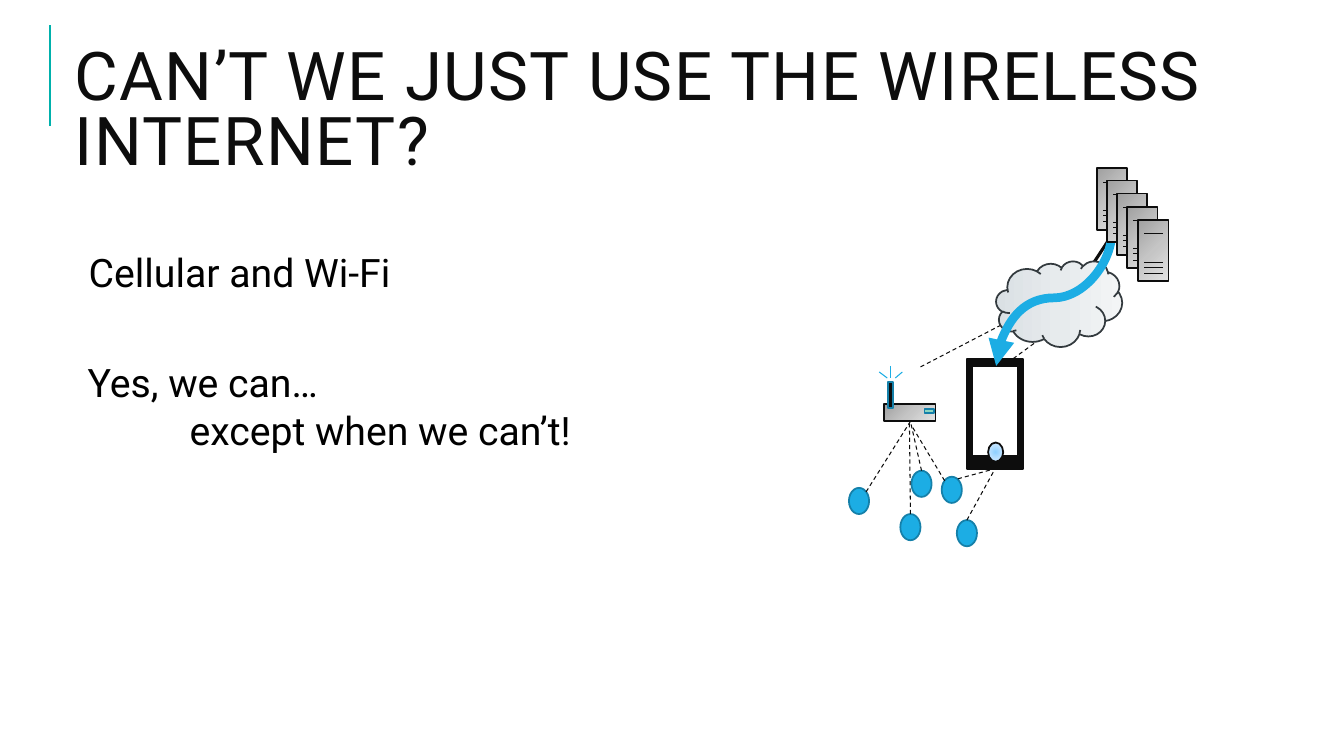
from lxml.etree import SubElement
from pptx import Presentation
from pptx.dml.color import RGBColor
from pptx.enum.dml import MSO_LINE
from pptx.enum.shapes import MSO_CONNECTOR, MSO_SHAPE
from pptx.enum.text import MSO_ANCHOR
from pptx.oxml import parse_xml
from pptx.oxml.ns import nsdecls, qn
from pptx.util import Pt

EMU_PER_PX = 9144
FONT = "Roboto"
INK = "0D0D0D"
BLUE = "1CADE4"
DARK_BLUE = "1580A9"
METAL = ("A0A0A0", "C5C5C5", "E3E3E3")
MIST = ("DAE0E4", "E7EBED", "F3F5F6")
GLOW = ("8FD1FF", "BAE1FF", "DDEFFF")
LINEAR = '<a:lin ang="{}" scaled="0"/>'
DIAGONAL = LINEAR.format(2700000)
SIDEWAYS = LINEAR.format(0)
RADIAL = '<a:path path="circle"><a:fillToRect l="50000" t="50000" r="50000" b="50000"/></a:path>'


def px(length):
    return length * EMU_PER_PX


def color(value):
    return RGBColor.from_string(value)


def add_shape(slide, kind, left, top, width, height, fill, outline=INK):
    shape = slide.shapes.add_shape(kind, px(left), px(top), px(width), px(height))
    shape.shadow.inherit = False
    shape.fill.solid()
    shape.fill.fore_color.rgb = color(fill)
    shape.line.color.rgb = color(outline)
    shape.line.width = Pt(1.25)
    return shape


def set_gradient(shape, colors, direction):
    stops = "".join(
        f'<a:gs pos="{index * 50000}"><a:srgbClr val="{value}"/></a:gs>'
        for index, value in enumerate(colors)
    )
    gradient = parse_xml(
        f'<a:gradFill {nsdecls("a")} rotWithShape="1"><a:gsLst>{stops}</a:gsLst>{direction}</a:gradFill>'
    )
    properties = shape.element.spPr
    properties.replace(properties.find(qn("a:solidFill")), gradient)


def add_line(slide, start, end, line_color=INK, width=0.75, dashed=False, kind=MSO_CONNECTOR.STRAIGHT):
    connector = slide.shapes.add_connector(kind, *map(px, (*start, *end)))
    connector.line.color.rgb = color(line_color)
    connector.line.width = Pt(width)
    if dashed:
        connector.line.dash_style = MSO_LINE.DASH
    SubElement(connector.element.spPr, qn("a:effectLst"))
    return connector


def add_links(slide, links):
    for start, end in links:
        add_line(slide, start, end, dashed=True)


def add_download_arrow(slide):
    arrow = add_line(slide, (978, 238), (1113, 353), BLUE, 6.25, kind=MSO_CONNECTOR.CURVE)
    properties = arrow.element.spPr
    properties.find(qn("a:xfrm")).set("rot", "5400000")
    SubElement(properties.find(qn("a:ln")), qn("a:tailEnd"), type="triangle")


def add_server(slide, index):
    left, top = 1088 + 41 * index // 4, 167 + 51 * index // 4
    case = add_shape(slide, MSO_SHAPE.RECTANGLE, left, top, 30, 61, METAL[0])
    set_gradient(case, METAL, DIAGONAL)
    for offset in (14, 42, 47, 53):
        add_line(slide, (left + 6, top + offset), (left + 24, top + offset))


def add_device(slide, left, top):
    add_shape(slide, MSO_SHAPE.OVAL, left, top, 20, 26, BLUE, DARK_BLUE)


def add_router(slide):
    case = add_shape(slide, MSO_SHAPE.RECTANGLE, 877, 401, 51, 17, METAL[0])
    set_gradient(case, METAL, DIAGONAL)
    add_shape(slide, MSO_SHAPE.RECTANGLE, 881, 379, 5, 26, INK, DARK_BLUE)
    for start, end in (((880, 375), (872, 369)), ((895, 369), (888, 375)), ((883, 363), (883, 375))):
        add_line(slide, start, end, BLUE)
    add_shape(slide, MSO_SHAPE.RECTANGLE, 917, 406, 9, 4, "8DD6C1", DARK_BLUE)


def add_phone(slide):
    add_shape(slide, MSO_SHAPE.RECTANGLE, 959, 356, 56, 109, INK)
    add_shape(slide, MSO_SHAPE.RECTANGLE, 964, 363, 46, 89, "FFFFFF")
    button = add_shape(slide, MSO_SHAPE.OVAL, 980, 439, 15, 19, GLOW[0])
    set_gradient(button, GLOW, RADIAL)


def add_text_frame(slide, left, top, width, height, anchor, margin_top=5):
    frame = slide.shapes.add_textbox(px(left), px(top), px(width), px(height)).text_frame
    frame.word_wrap = True
    frame.vertical_anchor = anchor
    frame.margin_left = frame.margin_right = px(7)
    frame.margin_top = px(margin_top)
    frame.margin_bottom = px(5)
    return frame


def add_text(paragraph, text, size, text_color, line_spacing):
    paragraph.line_spacing = line_spacing
    run = paragraph.add_run()
    run.text = text
    run.font.name = FONT
    run.font.size = Pt(size)
    run.font.color.rgb = color(text_color)
    return run


def add_title(slide):
    add_line(slide, (50, 125), (50, 25), "00B1AC", 1.5)
    frame = add_text_frame(slide, 67, 40, 1150, 145, MSO_ANCHOR.MIDDLE)
    run = add_text(frame.paragraphs[0], "CAN’T WE JUST USE THE WIRELESS INTERNET?", 48, INK, 0.8)
    run.font._element.set("spc", "100")


def add_body(slide):
    frame = add_text_frame(slide, 67, 142, 1150, 492, MSO_ANCHOR.TOP, margin_top=110)
    lines = (
        ("Cellular and Wi-Fi", 14, 0),
        ("Yes, we can…", 13, 48),
        ("except when we can’t!", 114, 4),
    )
    for index, (text, indent, space_before) in enumerate(lines):
        paragraph = frame.add_paragraph() if index else frame.paragraphs[0]
        paragraph._element.get_or_add_pPr().set("marL", str(px(indent)))
        paragraph.space_before = Pt(space_before)
        add_text(paragraph, text, 28, "000000", 0.9)


def add_network(slide):
    add_server(slide, 0)
    add_links(slide, [((913, 364), (1038, 299)), ((976, 377), (1058, 317))])
    add_line(slide, (1053, 309), (1101, 236), width=2.25)
    for left, top in ((842, 484), (949, 516), (893, 510), (904, 467)):
        add_device(slide, left, top)
    add_router(slide)
    add_links(slide, [((914, 467), (903, 418)), ((903, 510), (902, 420)), ((959, 516), (987, 465))])
    add_phone(slide)
    add_links(slide, [((859, 488), (903, 418))])
    cloud = add_shape(slide, MSO_SHAPE.CLOUD, 988, 259, 125, 85, MIST[0], "333A3E")
    set_gradient(cloud, MIST, SIDEWAYS)
    add_download_arrow(slide)
    add_device(slide, 934, 473)
    add_links(slide, [((937, 477), (904, 422)), ((950, 475), (987, 465))])
    for index in range(1, 5):
        add_server(slide, index)


def main():
    presentation = Presentation()
    presentation.slide_width = px(1333)
    presentation.slide_height = px(750)
    slide = presentation.slides.add_slide(presentation.slide_layouts[6])
    add_title(slide)
    add_network(slide)
    add_body(slide)
    presentation.save("out.pptx")


if __name__ == "__main__":
    main()
